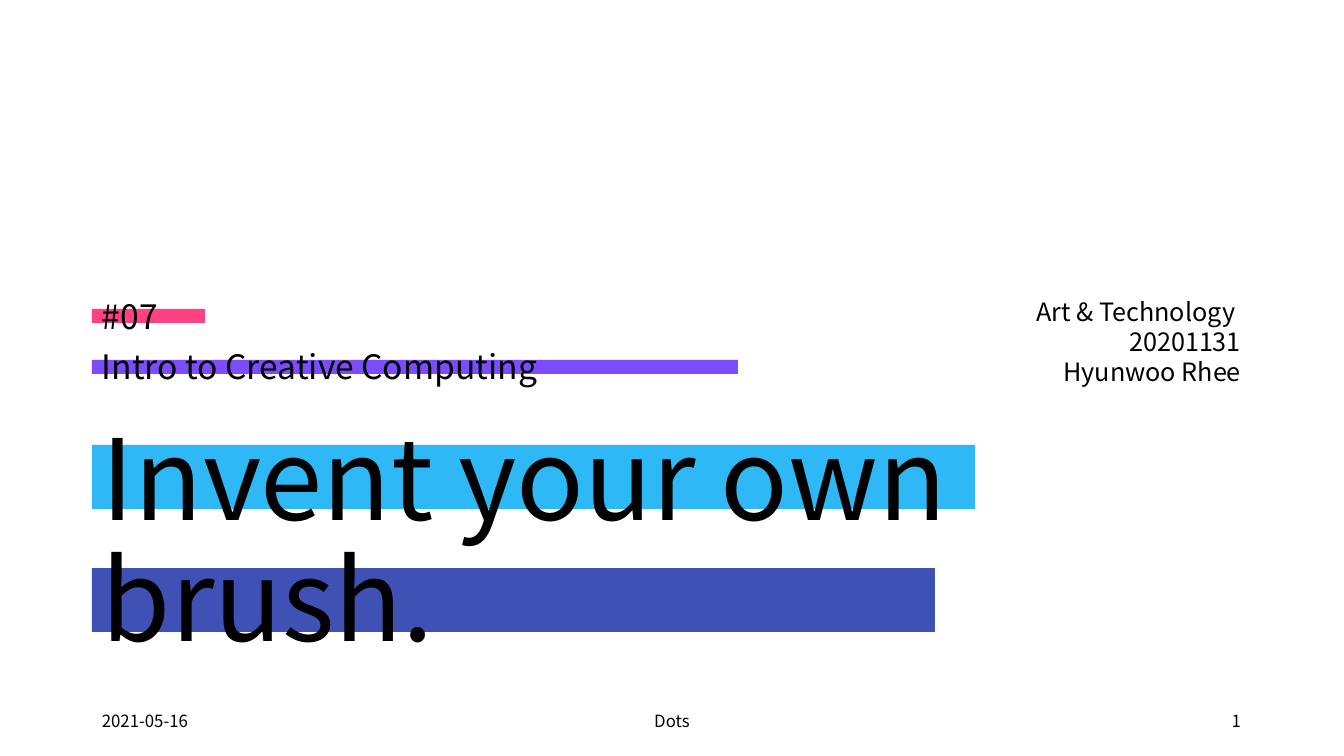
from pptx import Presentation
from pptx.dml.color import RGBColor
from pptx.enum.shapes import MSO_SHAPE as SHAPE
from pptx.enum.text import MSO_ANCHOR as ANCHOR, MSO_AUTO_SIZE as AUTO, PP_ALIGN as ALIGN
from pptx.util import Pt

PX = 914400 / 100.8
FONT = "Noto Sans CJK KR"
COLORS = {
    "text": "000000",
    "purple": "7C4DFF",
    "pink": "FF4081",
    "indigo": "3F51B5",
    "blue": "2EB8F6",
}
LEFT, RIGHT = 92, 1251


def emu(*lengths):
    """Turn px lengths into EMU."""
    return [round(n * PX) for n in lengths]


def add_text(box, lines, size, anchor, align=ALIGN.LEFT, spacing=None, before=0):
    s = slide.shapes.add_textbox(*emu(*box))
    tf = s.text_frame
    tf.word_wrap = True
    tf.vertical_anchor = anchor
    for i, line in enumerate(lines):
        p = tf.add_paragraph() if i else tf.paragraphs[0]
        p.alignment = align
        if spacing:
            p.line_spacing = spacing
        if i and before:
            p.space_before = Pt(before)
        r = p.add_run()
        r.text = line
        r.font.name = FONT
        r.font.size = Pt(size)
        r.font.color.rgb = RGBColor.from_string(COLORS["text"])
    return tf


prs = Presentation()
prs.slide_width, prs.slide_height = emu(1344, 756)
slide = prs.slides.add_slide(prs.slide_layouts[6])

# Highlighter bars behind the text
for color, top, width, height in [
    ("purple", 360, 646, 14),
    ("pink", 309, 113, 14),
    ("indigo", 568, 843, 64),
    ("blue", 445, 883, 64),
]:
    s = slide.shapes.add_shape(SHAPE.RECTANGLE, *emu(LEFT, top, width, height))
    s.shadow.inherit = False
    s.fill.solid()
    s.fill.fore_color.rgb = RGBColor.from_string(COLORS[color])
    s.line.fill.background()

# Title, course and author
full_width = RIGHT - LEFT
add_text((LEFT, 409, full_width, 262), ["Invent your own brush."], 80,
         ANCHOR.BOTTOM, spacing=0.9)
add_text((LEFT, 291, full_width, 101), ["#07", "Intro to Creative Computing"], 24,
         ANCHOR.BOTTOM, spacing=0.9, before=10)
author = add_text((RIGHT - 319, 290, 319, 102),
                  ["Art & Technology ", "20201131", "Hyunwoo Rhee"], 18,
                  ANCHOR.BOTTOM, ALIGN.RIGHT)
author.word_wrap = False
author.auto_size = AUTO.SHAPE_TO_FIT_TEXT

# Footer
for text, left, width, align in [
    ("2021-05-16", LEFT, 302, ALIGN.LEFT),
    ("Dots", 445, 454, ALIGN.CENTER),
    ("1", RIGHT - 302, 302, ALIGN.RIGHT),
]:
    add_text((left, 701, width, 40), [text], 12, ANCHOR.MIDDLE, align)

prs.save("out.pptx")
